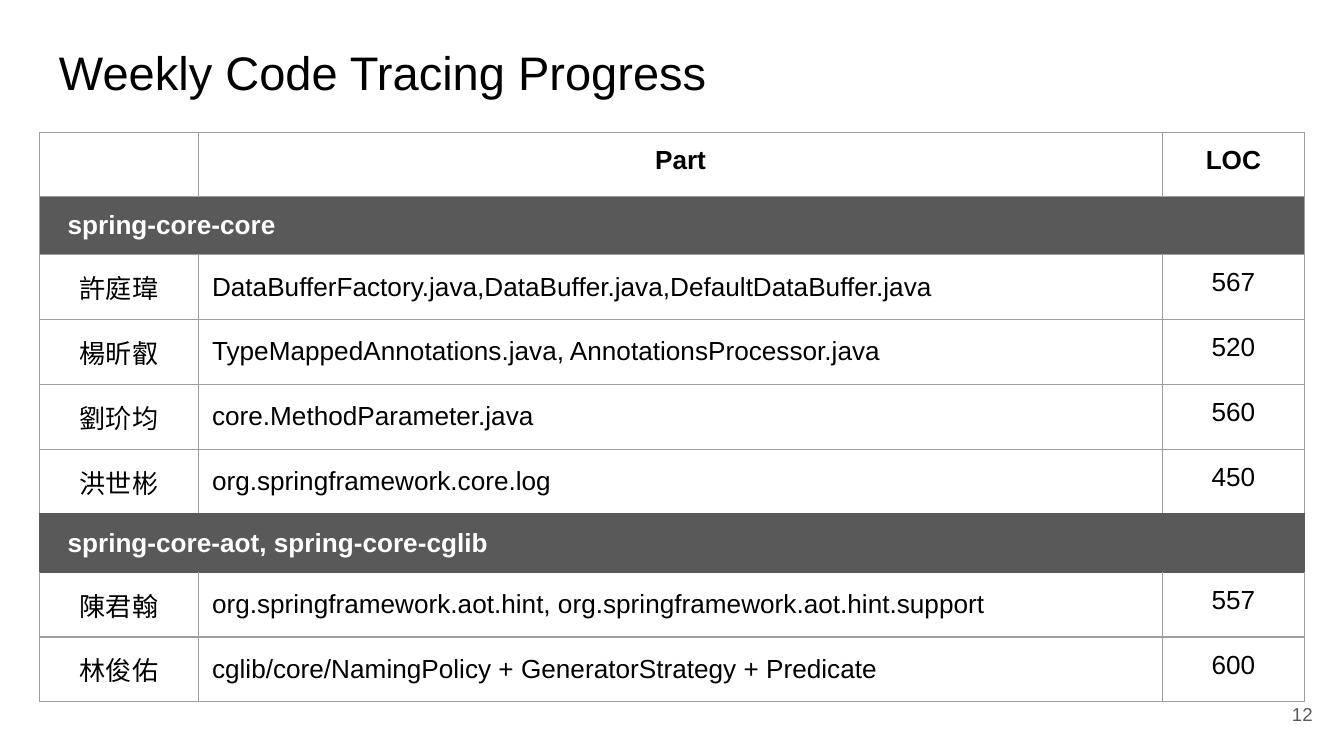
from lxml.etree import SubElement
from pptx import Presentation
from pptx.dml.color import RGBColor
from pptx.enum.text import MSO_ANCHOR as Anchor, PP_ALIGN as Align
from pptx.oxml.ns import qn
from pptx.util import Pt

COLORS = {"text": "000000", "white": "FFFFFF", "band": "595959", "grid": "9E9E9E"}
FONT = "Arial"
INSET = 7.2
COLUMN_WIDTHS = (85.2, 516.4, 76)
HEADER_HEIGHT, SECTION_HEIGHT, MEMBER_HEIGHT = 34.3, 30.3, 34.75

# A one-item row is a section heading that spans the table.
ROWS = [
    ("", "Part", "LOC"),
    ("spring-core-core",),
    ("許庭瑋", "DataBufferFactory.java,DataBuffer.java,DefaultDataBuffer.java", "567"),
    ("楊昕叡", "TypeMappedAnnotations.java, AnnotationsProcessor.java", "520"),
    ("劉玠均", "core.MethodParameter.java", "560"),
    ("洪世彬", "org.springframework.core.log", "450"),
    ("spring-core-aot, spring-core-cglib",),
    ("陳君翰", "org.springframework.aot.hint, org.springframework.aot.hint.support", "557"),
    ("林俊佑", "cglib/core/NamingPolicy + GeneratorStrategy + Predicate", "600"),
]
DARK_EDGED_ROW = 6


def write(frame, text, size, color="text", bold=False, align=Align.LEFT):
    paragraph = frame.paragraphs[0]
    paragraph.alignment = align
    font = paragraph.font
    if text:
        run = paragraph.add_run()
        run.text = text
        font = run.font
    for name, value in {"name": FONT, "size": Pt(size), "bold": bold}.items():
        setattr(font, name, value)
    font.color.rgb = RGBColor.from_string(COLORS[color])


def add_label(slide, box, text, size, anchor=Anchor.TOP, **style):
    frame = slide.shapes.add_textbox(*map(Pt, box)).text_frame
    frame.word_wrap = True
    frame.vertical_anchor = anchor
    for side in ("left", "right", "top", "bottom"):
        setattr(frame, f"margin_{side}", Pt(INSET))
    write(frame, text, size, **style)


def set_borders(cell, row):
    """Draw the grid lines, dark around the second section row."""
    dark_sides = {DARK_EDGED_ROW - 1: "B", DARK_EDGED_ROW: "LRTB",
                  DARK_EDGED_ROW + 1: "T"}.get(row, "")
    properties = cell._tc.get_or_add_tcPr()
    for index, side in enumerate("LRTB"):
        line = SubElement(properties, qn(f"a:ln{side}"), w=str(Pt(0.75)))
        fill = SubElement(line, qn("a:solidFill"))
        color = COLORS["band" if side in dark_sides else "grid"]
        SubElement(fill, qn("a:srgbClr"), val=color)
        properties.insert(index, line)


def format_cell(cell, row, fill=None):
    for side in ("left", "right", "top", "bottom"):
        setattr(cell, f"margin_{side}", Pt(INSET))
    if fill:
        cell.fill.solid()
        cell.fill.fore_color.rgb = RGBColor.from_string(COLORS[fill])
    else:
        cell.fill.background()
    set_borders(cell, row)


def add_progress_table(slide, left, top):
    heights = [SECTION_HEIGHT if len(row) == 1 else MEMBER_HEIGHT for row in ROWS]
    heights[0] = HEADER_HEIGHT
    table = slide.shapes.add_table(
        len(ROWS), len(COLUMN_WIDTHS), Pt(left), Pt(top),
        Pt(sum(COLUMN_WIDTHS)), Pt(sum(heights))).table
    table.first_row = table.horz_banding = False
    for column, width in zip(table.columns, COLUMN_WIDTHS):
        column.width = Pt(width)

    for r, (values, height) in enumerate(zip(ROWS, heights)):
        table.rows[r].height = Pt(height)
        is_section = len(values) == 1
        for c in range(len(COLUMN_WIDTHS)):
            format_cell(table.cell(r, c), r, "band" if is_section else None)
        if is_section:
            heading = table.cell(r, 0)
            heading.merge(table.cell(r, len(COLUMN_WIDTHS) - 1))
            heading.margin_left = Pt(INSET + 7.8)
            heading.vertical_anchor = Anchor.MIDDLE
            write(heading.text_frame, values[0], 14, "white", True)
            continue
        for c, value in enumerate(values):
            cell = table.cell(r, c)
            is_file_list = r > 0 and c == 1
            cell.vertical_anchor = Anchor.MIDDLE if is_file_list else Anchor.TOP
            write(cell.text_frame, value, 14, bold=r == 0,
                  align=Align.LEFT if is_file_list else Align.CENTER)


def main():
    deck = Presentation()
    deck.slide_width, deck.slide_height = Pt(720), Pt(405)
    slide = deck.slides.add_slide(deck.slide_layouts[6])
    add_label(slide, (24.5, 16, 671, 45), "Weekly Code Tracing Progress", 25.2)
    add_progress_table(slide, 21.2, 70.9)
    add_label(slide, (667.1, 367.2, 43.2, 31), "12", 10, Anchor.MIDDLE,
              color="band", align=Align.RIGHT)
    deck.save("out.pptx")


if __name__ == "__main__":
    main()
